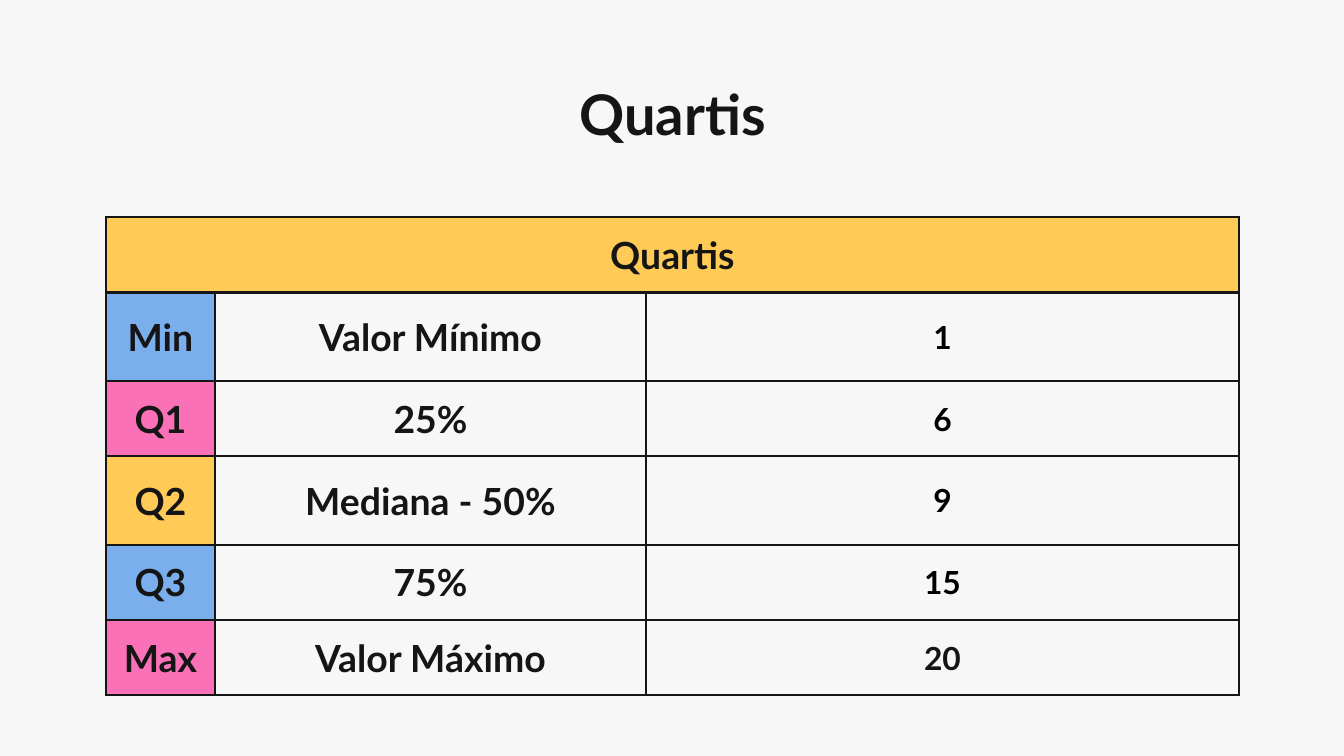
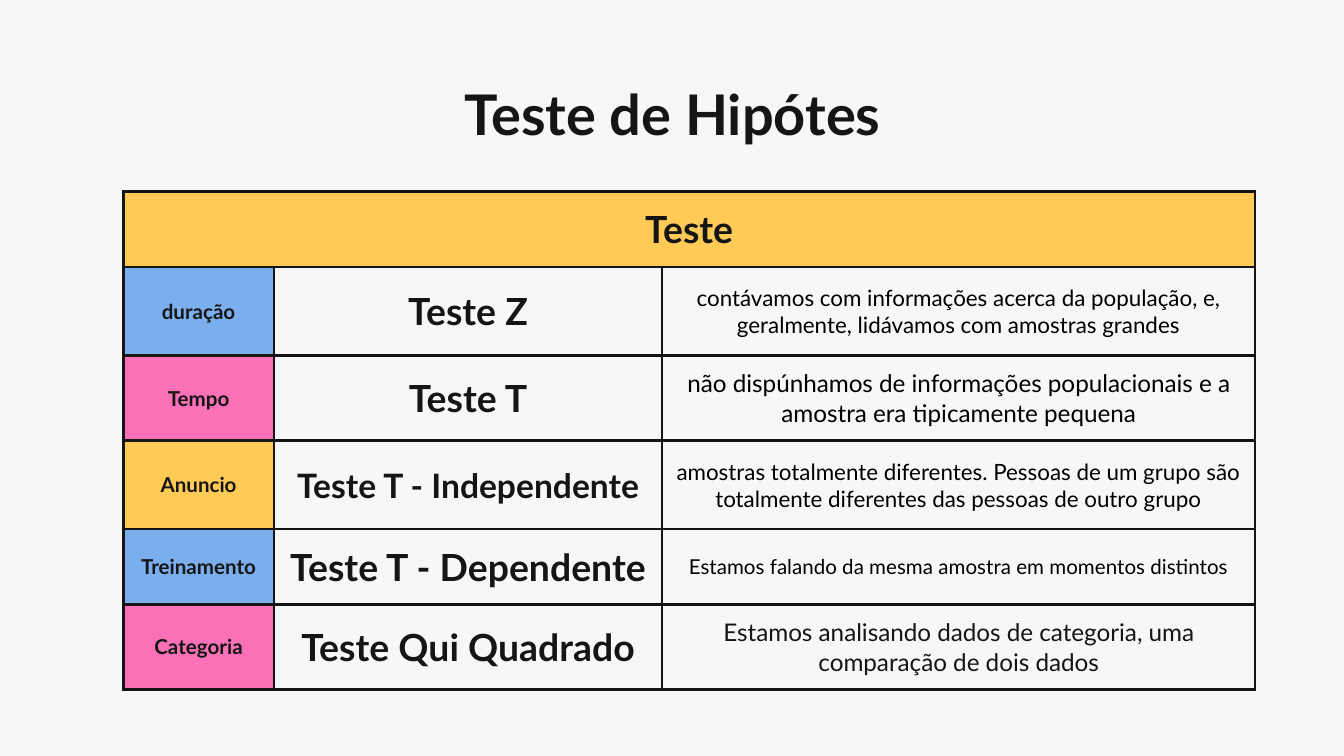
from dataclasses import dataclass

from lxml import etree
from pptx import Presentation
from pptx.dml.color import RGBColor
from pptx.enum.text import MSO_ANCHOR, MSO_AUTO_SIZE, PP_ALIGN
from pptx.oxml.ns import qn
from pptx.slide import Slide
from pptx.table import _Cell
from pptx.text.text import _Paragraph
from pptx.util import Pt

CENTER = PP_ALIGN.CENTER
TOP, MIDDLE = MSO_ANCHOR.TOP, MSO_ANCHOR.MIDDLE
NO_AUTOFIT = MSO_AUTO_SIZE.NONE

COLORS = {
    "paper": "F7F7F7",
    "ink": "151515",
    "black": "000000",
    "yellow": "FFCA56",
    "blue": "7BAEED",
    "pink": "FA71B7",
}
LABEL_FILLS = ("blue", "pink", "yellow", "blue", "pink")

FONT = "Lato"
TITLE_SIZE, HEADER_SIZE = 30, 20
TITLE_ONLY_LAYOUT = 5
BORDER_WIDTH = Pt(1.5)
BORDER_TAGS = ("a:lnL", "a:lnR", "a:lnT", "a:lnB")
ROW_HEIGHTS = (40.3, 47.5, 40.3, 47.5, 40.3, 40.3)
TITLE_BOX = {"left": Pt(56.8), "top": Pt(35.3), "width": Pt(607), "height": Pt(45.4)}
MARGINS = {f"margin_{side}": Pt(7.2) for side in ("left", "right", "top", "bottom")}
TITLE_FRAME = {
    **MARGINS,
    "word_wrap": True,
    "auto_size": NO_AUTOFIT,
    "vertical_anchor": TOP,
}
CELL_FORMAT = {**MARGINS, "vertical_anchor": MIDDLE}


@dataclass(frozen=True)
class Entry:
    text: str
    size: float = 20
    color: str = "ink"
    bold: bool = True


@dataclass(frozen=True)
class TableSlide:
    title: str
    header: str
    left: float
    top: float
    column_widths: tuple[float, ...]
    rows: tuple[tuple[Entry, Entry, Entry], ...]


def quartile(label: str, meaning: str, value: str, color: str = "black") -> tuple[Entry, Entry, Entry]:
    return Entry(label), Entry(meaning), Entry(value, 17, color)


def hypothesis_test(
    example: str,
    test: str,
    usage: str,
    usage_size: float,
    test_size: float = 20,
    usage_color: str = "black",
) -> tuple[Entry, Entry, Entry]:
    return (
        Entry(example, 11),
        Entry(test, test_size),
        Entry(usage, usage_size, usage_color, bold=False),
    )


SLIDES = (
    TableSlide(
        title="Quartis",
        header="Quartis",
        left=56.8,
        top=116.4,
        column_widths=(58.3, 231.1, 317.5),
        rows=(
            quartile("Min", "Valor Mínimo", "1"),
            quartile("Q1", "25%", "6"),
            quartile("Q2", "Mediana - 50%", "9"),
            quartile("Q3", "75%", "15"),
            quartile("Max", "Valor Máximo", "20", "ink"),
        ),
    ),
    TableSlide(
        title="Teste de Hipótes",
        header="Teste",
        left=66.1,
        top=102.7,
        column_widths=(80.6, 208.1, 317.5),
        rows=(
            hypothesis_test(
                "duração", "Teste Z",
                "contávamos com informações acerca da população, e, "
                "geralmente, lidávamos com amostras grandes", 12,
            ),
            hypothesis_test(
                "Tempo", "Teste T",
                "não dispúnhamos de informações populacionais e a "
                "amostra era tipicamente pequena", 13,
            ),
            hypothesis_test(
                "Anuncio", "Teste T - Independente",
                "amostras totalmente diferentes. Pessoas de um grupo são "
                "totalmente diferentes das pessoas de outro grupo", 12,
                test_size=18,
            ),
            hypothesis_test(
                "Treinamento", "Teste T - Dependente",
                "Estamos falando da mesma amostra em momentos distintos", 11,
            ),
            hypothesis_test(
                "Categoria", "Teste Qui Quadrado",
                "Estamos analisando dados de categoria, uma "
                "comparação de dois dados", 13,
                usage_color="ink",
            ),
        ),
    ),
)


def rgb(name: str) -> RGBColor:
    return RGBColor.from_string(COLORS[name])


def apply(target: object, values: dict[str, object]) -> None:
    for name, value in values.items():
        setattr(target, name, value)


def write(paragraph: _Paragraph, entry: Entry) -> None:
    paragraph.alignment = CENTER
    run = paragraph.add_run()
    run.text = entry.text
    apply(run.font, {"name": FONT, "size": Pt(entry.size), "bold": entry.bold})
    run.font.color.rgb = rgb(entry.color)


def add_borders(cell: _Cell) -> None:
    """Outline the cell; must run before its fill is set."""
    properties = cell._tc.get_or_add_tcPr()
    for tag in BORDER_TAGS:
        line = etree.SubElement(properties, qn(tag), w=str(BORDER_WIDTH))
        fill = etree.SubElement(line, qn("a:solidFill"))
        etree.SubElement(fill, qn("a:srgbClr"), val=COLORS["ink"])


def style_cell(cell: _Cell, fill: str | None) -> None:
    apply(cell, CELL_FORMAT)
    add_borders(cell)
    if fill:
        cell.fill.solid()
        cell.fill.fore_color.rgb = rgb(fill)
    else:
        cell.fill.background()


def add_title(slide: Slide, text: str) -> None:
    title = slide.shapes.title
    apply(title, TITLE_BOX)
    apply(title.text_frame, TITLE_FRAME)
    write(title.text_frame.paragraphs[0], Entry(text, TITLE_SIZE))


def add_table(slide: Slide, content: TableSlide) -> None:
    widths = content.column_widths
    table = slide.shapes.add_table(
        len(ROW_HEIGHTS), len(widths),
        Pt(content.left), Pt(content.top), Pt(sum(widths)), Pt(sum(ROW_HEIGHTS)),
    ).table
    apply(table, {"first_row": False, "horz_banding": False})
    for column, width in zip(table.columns, widths):
        column.width = Pt(width)
    for row, height in zip(table.rows, ROW_HEIGHTS):
        row.height = Pt(height)

    for cell in table.rows[0].cells:
        style_cell(cell, "yellow")
    header = table.cell(0, 0)
    header.merge(table.cell(0, len(widths) - 1))
    write(header.text_frame.paragraphs[0], Entry(content.header, HEADER_SIZE))

    for row_index, (entries, label_fill) in enumerate(zip(content.rows, LABEL_FILLS), start=1):
        for column_index, entry in enumerate(entries):
            cell = table.cell(row_index, column_index)
            style_cell(cell, label_fill if column_index == 0 else None)
            write(cell.text_frame.paragraphs[0], entry)


def main() -> None:
    presentation = Presentation()
    apply(presentation, {"slide_width": Pt(720), "slide_height": Pt(405)})
    background = presentation.slide_master.background.fill
    background.solid()
    background.fore_color.rgb = rgb("paper")
    layout = presentation.slide_layouts[TITLE_ONLY_LAYOUT]
    for content in SLIDES:
        slide = presentation.slides.add_slide(layout)
        add_title(slide, content.title)
        add_table(slide, content)
    presentation.save("out.pptx")


if __name__ == "__main__":
    main()
